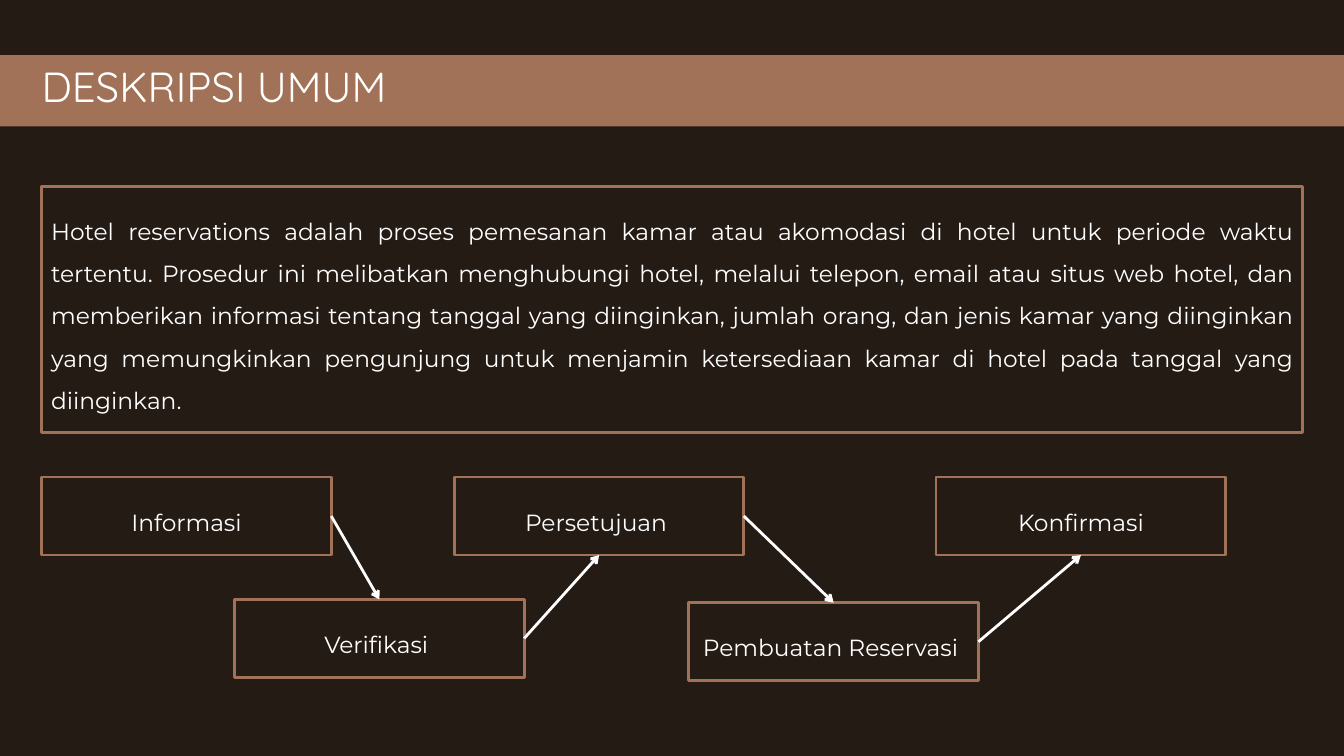
from dataclasses import dataclass

from lxml.etree import SubElement
from pptx import Presentation
from pptx.dml.color import RGBColor
from pptx.enum.shapes import MSO_CONNECTOR, MSO_SHAPE
from pptx.enum.text import MSO_ANCHOR, MSO_AUTO_SIZE, PP_ALIGN
from pptx.oxml.ns import qn
from pptx.util import Pt

EMU_PER_PX = 9144  # 100 px to the inch
COLORS = {"background": "251B15", "accent": "A17258", "text": "FFFFFF"}
LINE_WIDTH = Pt(3)
TOP, BOTTOM, RIGHT = 0, 2, 3  # connection sites of a rectangle

DESCRIPTION = (
    "Hotel reservations adalah proses pemesanan kamar atau akomodasi di hotel "
    "untuk periode waktu tertentu. Prosedur ini melibatkan menghubungi hotel, "
    "melalui telepon, email atau situs web hotel, dan memberikan informasi "
    "tentang tanggal yang diinginkan, jumlah orang, dan jenis kamar yang "
    "diinginkan yang memungkinkan pengunjung untuk menjamin ketersediaan kamar "
    "di hotel pada tanggal yang diinginkan."
)


@dataclass(frozen=True)
class Box:
    left: int
    top: int
    width: int
    height: int

    def emu(self) -> tuple[int, ...]:
        return tuple(px(n) for n in (self.left, self.top, self.width, self.height))


@dataclass(frozen=True)
class TextStyle:
    font: str
    size: float
    line_spacing: float
    align: PP_ALIGN
    side_margin: int = 0
    top_margin: int = 0


@dataclass(frozen=True)
class Step:
    label: str
    left: int
    top: int
    entry_site: int  # side on which the arrow from the step before arrives


TITLE_STYLE = TextStyle("Quicksand", 45, 35.1, PP_ALIGN.LEFT)
BODY_STYLE = TextStyle("Montserrat", 25, 45, PP_ALIGN.JUSTIFY, 14, 25)
STEP_STYLE = TextStyle("Montserrat", 25, 45, PP_ALIGN.CENTER, 3, 25)

STEP_WIDTH, STEP_HEIGHT = 431, 116
STEPS = [
    Step("Informasi", 62, 710, TOP),
    Step("Verifikasi ", 349, 892, TOP),
    Step("Persetujuan ", 676, 710, BOTTOM),
    Step("Pembuatan Reservasi ", 1025, 897, TOP),
    Step("Konfirmasi", 1393, 710, BOTTOM),
]


def px(length: int) -> int:
    return length * EMU_PER_PX


def color(name: str) -> RGBColor:
    return RGBColor.from_string(COLORS[name])


def place(shape, box: Box) -> None:
    shape.left, shape.top, shape.width, shape.height = box.emu()


def outline(shape) -> None:
    shape.fill.background()
    shape.line.color.rgb = color("accent")
    shape.line.width = LINE_WIDTH


def write(shape, text: str, style: TextStyle) -> None:
    frame = shape.text_frame
    frame.word_wrap = True
    frame.auto_size = MSO_AUTO_SIZE.NONE
    frame.vertical_anchor = MSO_ANCHOR.TOP
    frame.margin_left = frame.margin_right = px(style.side_margin)
    frame.margin_top, frame.margin_bottom = px(style.top_margin), 0
    paragraph = frame.paragraphs[0]
    paragraph.alignment = style.align
    paragraph.line_spacing = Pt(style.line_spacing)
    paragraph.space_before = Pt(0)
    run = paragraph.add_run()
    run.text = text
    run.font.name = style.font
    run.font.size = Pt(style.size)
    run.font.color.rgb = color("text")


def remove_bullet(paragraph) -> None:
    properties = paragraph._p.get_or_add_pPr()
    properties.set("marL", "0")
    properties.set("indent", "0")
    SubElement(properties, qn("a:buNone"))


def add_rectangle(slide, box: Box):
    shape = slide.shapes.add_shape(MSO_SHAPE.RECTANGLE, *box.emu())
    shape.shadow.inherit = False
    return shape


def add_header(slide) -> None:
    """Put the title on a full-width band."""
    title = slide.shapes.title
    place(title, Box(62, 116, 719, 55))
    write(title, "DESKRIPSI UMUM", TITLE_STYLE)
    band = add_rectangle(slide, Box(0, 82, 2000, 106))
    band.fill.solid()
    band.fill.fore_color.rgb = color("accent")
    band.line.fill.background()
    title.element.addprevious(band.element)


def add_description(slide) -> None:
    body = slide.placeholders[1]
    place(body, Box(62, 278, 1876, 366))
    outline(body)
    write(body, DESCRIPTION, BODY_STYLE)
    remove_bullet(body.text_frame.paragraphs[0])


def add_step(slide, step: Step):
    shape = add_rectangle(slide, Box(step.left, step.top, STEP_WIDTH, STEP_HEIGHT))
    outline(shape)
    write(shape, step.label, STEP_STYLE)
    return shape


def add_arrow(slide, source, target, entry_site: int) -> None:
    arrow = slide.shapes.add_connector(MSO_CONNECTOR.STRAIGHT, 0, 0, 0, 0)
    arrow.begin_connect(source, RIGHT)
    arrow.end_connect(target, entry_site)
    arrow.line.color.rgb = color("text")
    arrow.line.width = LINE_WIDTH
    SubElement(arrow.line._get_or_add_ln(), qn("a:tailEnd"), type="arrow")
    SubElement(arrow._element.spPr, qn("a:effectLst"))


def main() -> None:
    presentation = Presentation()
    presentation.slide_width = px(2000)
    presentation.slide_height = px(1125)
    slide = presentation.slides.add_slide(presentation.slide_layouts[1])
    slide.background.fill.solid()
    slide.background.fill.fore_color.rgb = color("background")

    add_header(slide)
    add_description(slide)
    shapes = [add_step(slide, step) for step in STEPS]
    for source, target, step in zip(shapes, shapes[1:], STEPS[1:]):
        add_arrow(slide, source, target, step.entry_site)

    presentation.save("out.pptx")


if __name__ == "__main__":
    main()
